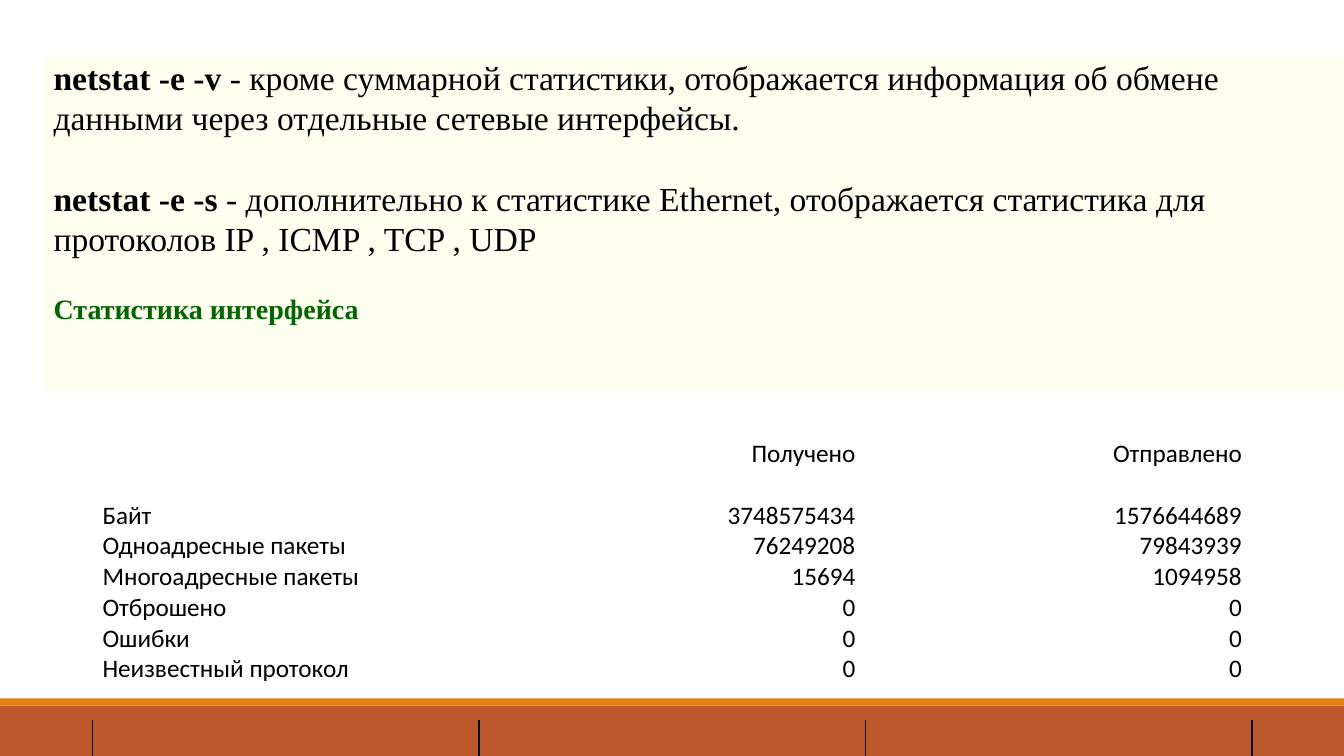
"""Build the slide on netstat interface statistics."""
from lxml import etree
from pptx import Presentation
from pptx.dml.color import RGBColor
from pptx.enum import shapes, text
from pptx.oxml import ns
from pptx.util import Cm, Pt

BLACK = RGBColor(0x00, 0x00, 0x00)
GREEN = RGBColor(0x00, 0x66, 0x00)
IVORY = RGBColor(0xFF, 0xFF, 0xF0)
RUST = RGBColor(0xBD, 0x58, 0x2C)
ORANGE = RGBColor(0xE4, 0x83, 0x12)

COMMANDS = [
    ("netstat -e -v\u00a0", "- кроме суммарной статистики, отображается информация "
     "об обмене данными через отдельные сетевые интерфейсы."),
    ("netstat -e -s\u00a0", "- дополнительно к статистике Ethernet, отображается "
     "статистика для протоколов IP , ICMP , TCP , UDP"),
]
HEADING = "Статистика интерфейса"
LABELS = ["Байт", "Одноадресные пакеты", "Многоадресные пакеты",
          "Отброшено", "Ошибки", "Неизвестный протокол"]
COUNTERS = {
    "Получено": ["3748575434", "76249208", "15694", "0", "0", "0"],
    "Отправлено": ["1576644689", "79843939", "1094958", "0", "0", "0"],
}

WIDTH, HEIGHT = Cm(33.87), Cm(19.05)
BAR_TOP, STRIPE_HEIGHT = Cm(17.78), Cm(0.18)
NO_STYLE = "{2D5ABB26-0587-4C30-8999-92F81FD0307C}"


def add_box(slide, left, top, width, height, color):
    shape = slide.shapes.add_shape(shapes.MSO_SHAPE.RECTANGLE, left, top, width, height)
    shape.shadow.inherit = False
    shape.fill.solid()
    shape.fill.fore_color.rgb = color
    shape.line.fill.background()
    return shape


def format_paragraph(paragraph, name, size, color, alignment=text.PP_ALIGN.LEFT):
    paragraph.alignment = alignment
    paragraph.font.name = name
    paragraph.font.size = Pt(size)
    paragraph.font.color.rgb = color


def add_commands(slide):
    frame = add_box(slide, Cm(1.1), Cm(1.4), Cm(32.77), Cm(8.46), IVORY).text_frame
    frame.word_wrap = True
    frame.vertical_anchor = text.MSO_ANCHOR.TOP
    frame.margin_top = Cm(0.03)
    for index, (command, description) in enumerate(COMMANDS):
        paragraph = frame.add_paragraph() if index else frame.paragraphs[0]
        format_paragraph(paragraph, "Times New Roman", 24, BLACK)
        paragraph.line_spacing = Pt(28.8)
        paragraph.space_before = Pt(28.8 if index else 0)
        for words, bold in ((command, True), (description, False)):
            run = paragraph.add_run()
            run.text = words
            run.font.bold = bold
    heading = frame.add_paragraph()
    heading.text = HEADING
    format_paragraph(heading, "Times New Roman", 20, GREEN)
    heading.font.bold = True
    heading.line_spacing = heading.space_before = Pt(24)


def add_side_borders(cell):
    properties = cell._tc.get_or_add_tcPr()
    for index, side in enumerate(("a:lnL", "a:lnR")):
        line = etree.Element(ns.qn(side), w=str(Pt(1)))
        fill = etree.SubElement(line, ns.qn("a:solidFill"))
        etree.SubElement(fill, ns.qn("a:srgbClr"), val=str(BLACK))
        properties.insert(index, line)


def add_statistics(slide):
    columns = [LABELS] + [[name, *values] for name, values in COUNTERS.items()]
    table = slide.shapes.add_table(2, len(columns), Cm(2.33), Cm(10.92),
                                   Cm(29.22), Cm(8.13)).table
    table.first_row = table.horz_banding = False
    table._tbl.tblPr.find(ns.qn("a:tableStyleId")).text = NO_STYLE
    table.rows[0].height, table.rows[1].height = Cm(7.22), Cm(0.91)
    for index, lines in enumerate(columns):
        cell, footer = table.cell(0, index), table.cell(1, index)
        cell.text = "\n".join(lines)
        cell.vertical_anchor = text.MSO_ANCHOR.BOTTOM
        cell.margin_bottom = Cm(0.9)
        alignment = text.PP_ALIGN.RIGHT if index else text.PP_ALIGN.LEFT
        for paragraph in cell.text_frame.paragraphs:
            format_paragraph(paragraph, "Calibri", 18, BLACK, alignment)
        if index:
            cell.text_frame.paragraphs[0].space_after = Pt(22)
        footer.margin_bottom = 0
        add_side_borders(footer)
        for part in (cell, footer):
            part.fill.background()


def main():
    presentation = Presentation()
    presentation.slide_width, presentation.slide_height = WIDTH, HEIGHT
    slide = presentation.slides.add_slide(presentation.slide_layouts[6])
    add_box(slide, 0, BAR_TOP, WIDTH, HEIGHT - BAR_TOP, RUST)
    add_box(slide, 0, BAR_TOP - STRIPE_HEIGHT, WIDTH, STRIPE_HEIGHT, ORANGE)
    add_statistics(slide)
    add_commands(slide)
    presentation.save("out.pptx")


if __name__ == "__main__":
    main()
